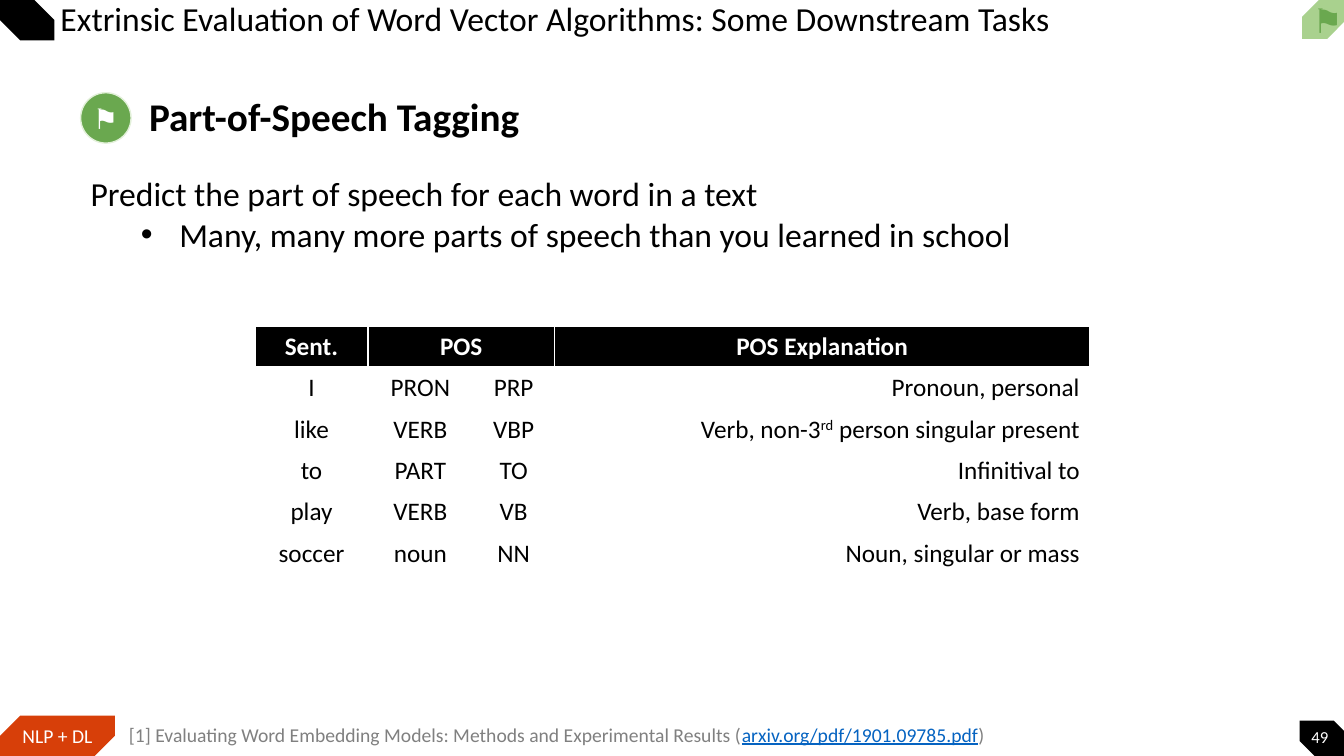
from pptx import Presentation
from pptx.dml.color import RGBColor
from pptx.enum.shapes import MSO_SHAPE
from pptx.enum.text import MSO_ANCHOR, PP_ALIGN
from pptx.oxml.ns import qn
from pptx.util import Pt
from lxml.etree import SubElement

PX = 9144
FONT = "Calibri"
COLORS = {
    "black": "000000", "white": "FFFFFF", "orange": "D73F09", "gray": "808080",
    "link": "0563C1", "green": "6AA84F", "light": "A9D18E", "pale": "E2F0D9",
}
ROWS = [
    ("I", "PRON", "PRP", ["Pronoun, personal"]),
    ("like", "VERB", "VBP",
     ["Verb, non-3", ("rd", {"base": 30000}), " person singular present"]),
    ("to", "PART", "TO", ["Infinitival to"]),
    ("play", "VERB", "VB", ["Verb, base form"]),
    ("soccer", "noun", "NN", ["Noun, singular or mass"]),
]
COLUMNS = [112, 104, 81, 531]
ROW_HEIGHT = 41


def rgb(name):
    return RGBColor.from_string(COLORS[name])


def format_run(r, size, color, bold=False, underline=False, base=None):
    r.font.name = FONT
    r.font.size = Pt(size)
    r.font.bold = bold
    r.font.underline = underline
    r.font.color.rgb = rgb(color)
    if base:
        r._r.get_or_add_rPr().set("baseline", str(base))


def write(p, parts, align=PP_ALIGN.LEFT, spacing=None, **style):
    p.alignment = align
    if spacing:
        p.line_spacing = spacing
    for part in [parts] if isinstance(parts, str) else parts:
        text, extra = (part, {}) if isinstance(part, str) else part
        r = p.add_run()
        r.text = text
        format_run(r, **{**style, **extra})


def set_frame(tf, anchor, insets):
    tf.word_wrap = True
    tf.vertical_anchor = anchor
    tf.margin_left, tf.margin_top, tf.margin_right, tf.margin_bottom = (
        v * PX for v in insets)


def add_text(s, box, parts, anchor=MSO_ANCHOR.TOP, insets=(10, 5, 10, 5), **style):
    tf = s.shapes.add_textbox(*(v * PX for v in box)).text_frame
    set_frame(tf, anchor, insets)
    write(tf.paragraphs[0], parts, **style)
    return tf


def add_block(s, kind, box, fill, adjust, flip=False, rotation=0, line=None):
    sp = s.shapes.add_shape(kind, *(v * PX for v in box))
    sp.shadow.inherit = False
    for i, value in enumerate(adjust):
        sp.adjustments[i] = value
    sp.fill.solid()
    sp.fill.fore_color.rgb = rgb(fill)
    if line:
        sp.line.color.rgb = rgb(line)
        sp.line.width = Pt(1)
    else:
        sp.line.fill.background()
    sp.rotation = rotation
    if flip:
        sp._element.spPr.find(qn("a:xfrm")).set("flipH", "1")
    return sp


def label(sp, text, size):
    set_frame(sp.text_frame, MSO_ANCHOR.MIDDLE, (0, 0, 0, 0))
    write(sp.text_frame.paragraphs[0], text, PP_ALIGN.CENTER, size=size, color="white")


def add_bullet(p, left, indent):
    pPr = p._p.get_or_add_pPr()
    pPr.set("marL", str(left * PX))
    pPr.set("indent", str(indent * PX))
    SubElement(pPr, qn("a:buFont"), typeface="Arial")
    SubElement(pPr, qn("a:buChar"), char="•")


def fill_cell(cell, parts, align, header):
    tcPr = cell._tc.get_or_add_tcPr()
    for side in "LRTB":
        width = 3 if header and side == "B" else 1
        ln = SubElement(tcPr, qn(f"a:ln{side}"), w=str(Pt(width)))
        solid = SubElement(ln, qn("a:solidFill"))
        SubElement(solid, qn("a:srgbClr"), val=COLORS["white"])
    cell.fill.solid()
    cell.fill.fore_color.rgb = rgb("black" if header else "white")
    write(cell.text_frame.paragraphs[0], parts, align, size=18, bold=header,
          color="white" if header else "black")


def add_tag_table(s, left, top):
    rows = [("Sent.", "POS", "", "POS Explanation")] + ROWS
    tbl = s.shapes.add_table(
        len(rows), len(COLUMNS), left * PX, top * PX,
        sum(COLUMNS) * PX, ROW_HEIGHT * len(rows) * PX).table
    tbl.horz_banding = False
    for column, width in zip(tbl.columns, COLUMNS):
        column.width = width * PX
    for i, row in enumerate(rows):
        tbl.rows[i].height = ROW_HEIGHT * PX
        for j, parts in enumerate(row):
            right = i > 0 and j == len(COLUMNS) - 1
            fill_cell(tbl.cell(i, j), parts,
                      PP_ALIGN.RIGHT if right else PP_ALIGN.CENTER, i == 0)
    tbl.cell(0, 1).merge(tbl.cell(0, 2))


def add_frame(s):
    snip = MSO_SHAPE.SNIP_2_DIAG_RECTANGLE
    add_block(s, snip, (1289, 715, 54, 40), "black", (0.5, 0), flip=True)
    course = add_block(s, snip, (0, 710, 114, 40), "orange", (0.5, 0))
    label(course, "NLP + DL", 14)
    add_block(s, snip, (0, 0, 54, 40), "black", (0.5, 0), flip=True)
    add_block(s, snip, (1293, -2, 39, 42), "light", (0, 0.44), rotation=90)
    add_text(s, (1292, -5, 34, 50), "⚑", size=24, color="green")
    add_text(s, (0, 1, 1188, 39),
             "Extrinsic Evaluation of Word Vector Algorithms: Some Downstream Tasks",
             MSO_ANCHOR.MIDDLE, (60, 5, 5, 5), spacing=0.9, size=24, color="black")
    add_text(s, (1289, 715, 40, 31), "49", MSO_ANCHOR.MIDDLE, (0, 0, 0, 0),
             align=PP_ALIGN.CENTER, size=12, color="white")
    add_text(s, (118, 712, 1241, 34), [
        "[1] Evaluating Word Embedding Models: Methods and Experimental Results (",
        ("arxiv.org/pdf/1901.09785.pdf", {"color": "link", "underline": True}),
        ")"], size=14, color="gray")


def add_content(s):
    add_text(s, (138, 87, 491, 57), "Part-of-Speech Tagging",
             size=28, color="black", bold=True)
    badge = add_block(s, MSO_SHAPE.ROUNDED_RECTANGLE, (80, 92, 50, 50), "green",
                      (0.5,), line="pale")
    label(badge, "⚑", 20)
    add_tag_table(s, 253, 324)
    tf = add_text(s, (80, 167, 1177, 91),
                  "Predict the part of speech for each word in a text",
                  size=24, color="black")
    p = tf.add_paragraph()
    p.level = 1
    add_bullet(p, 88, -38)
    write(p, "Many, many more parts of speech than you learned in school",
          size=24, color="black")


def main():
    prs = Presentation()
    prs.slide_width, prs.slide_height = 1333 * PX, 750 * PX
    s = prs.slides.add_slide(prs.slide_layouts[6])
    add_frame(s)
    add_content(s)
    prs.save("out.pptx")


if __name__ == "__main__":
    main()
